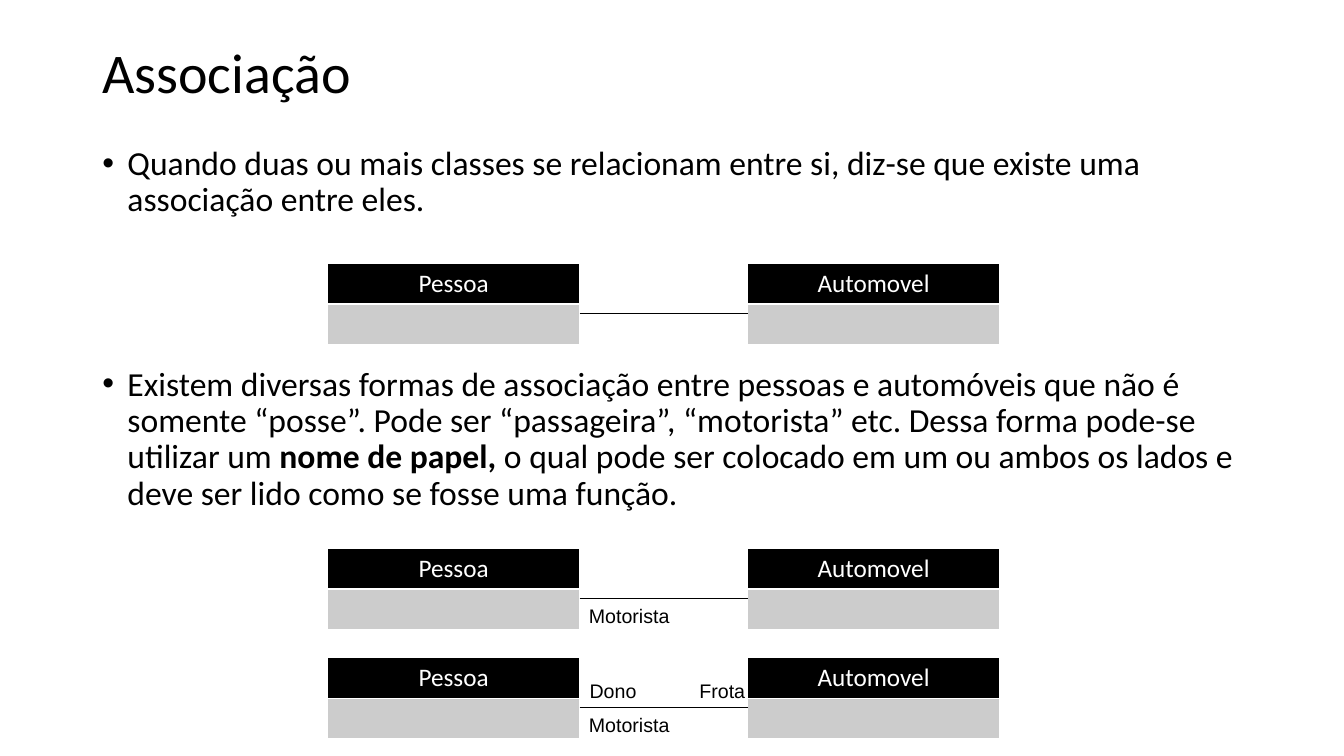
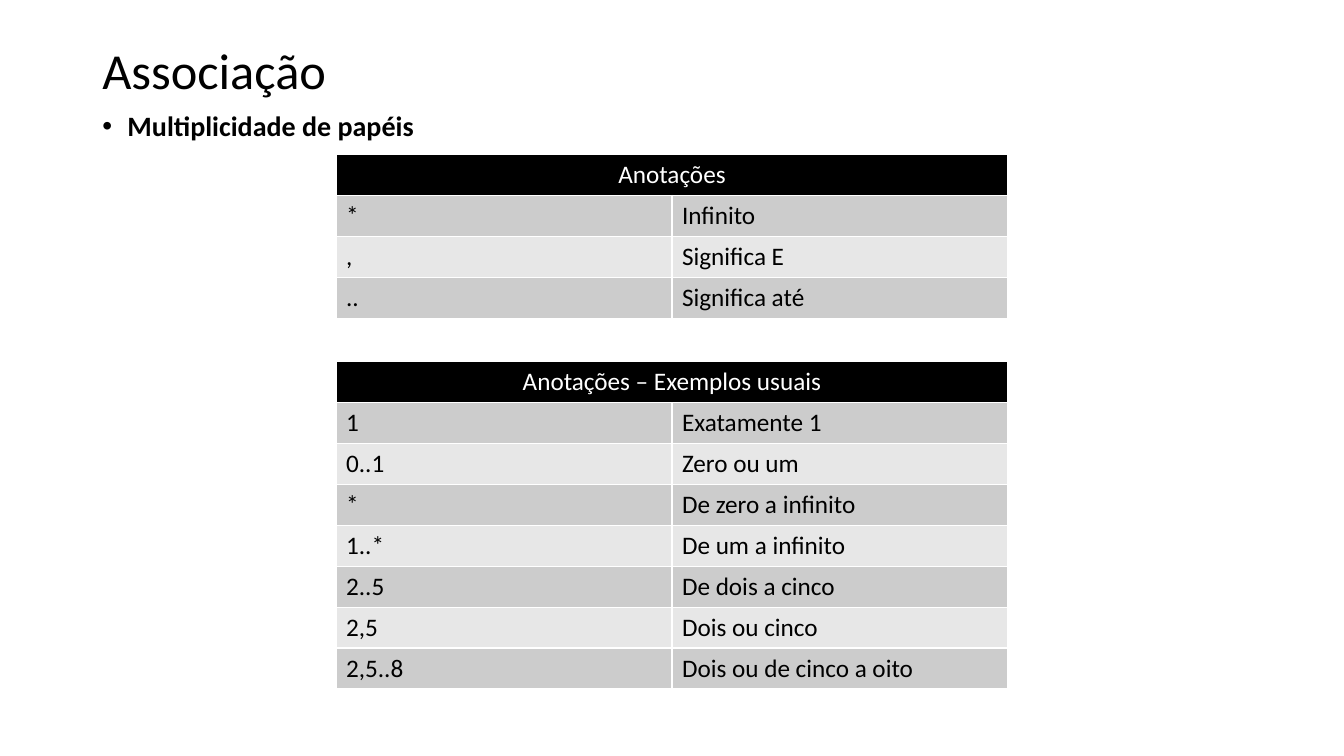
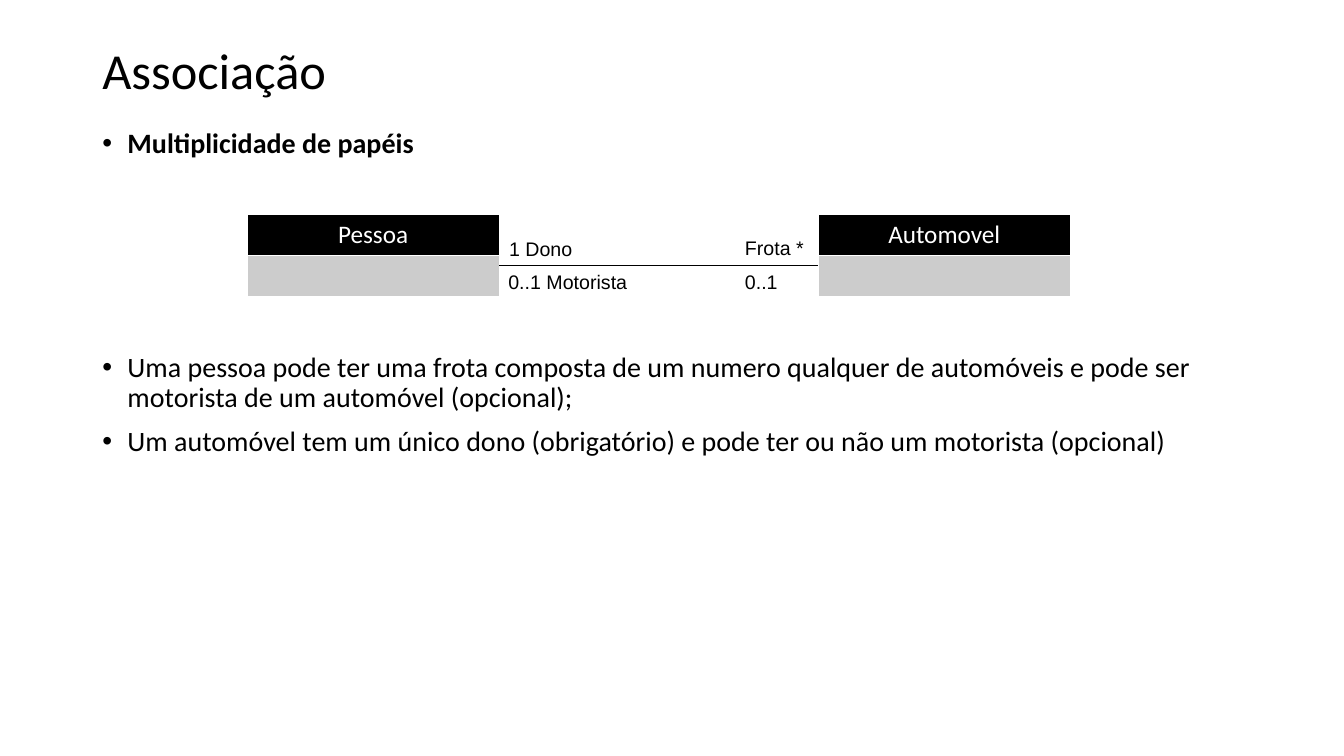
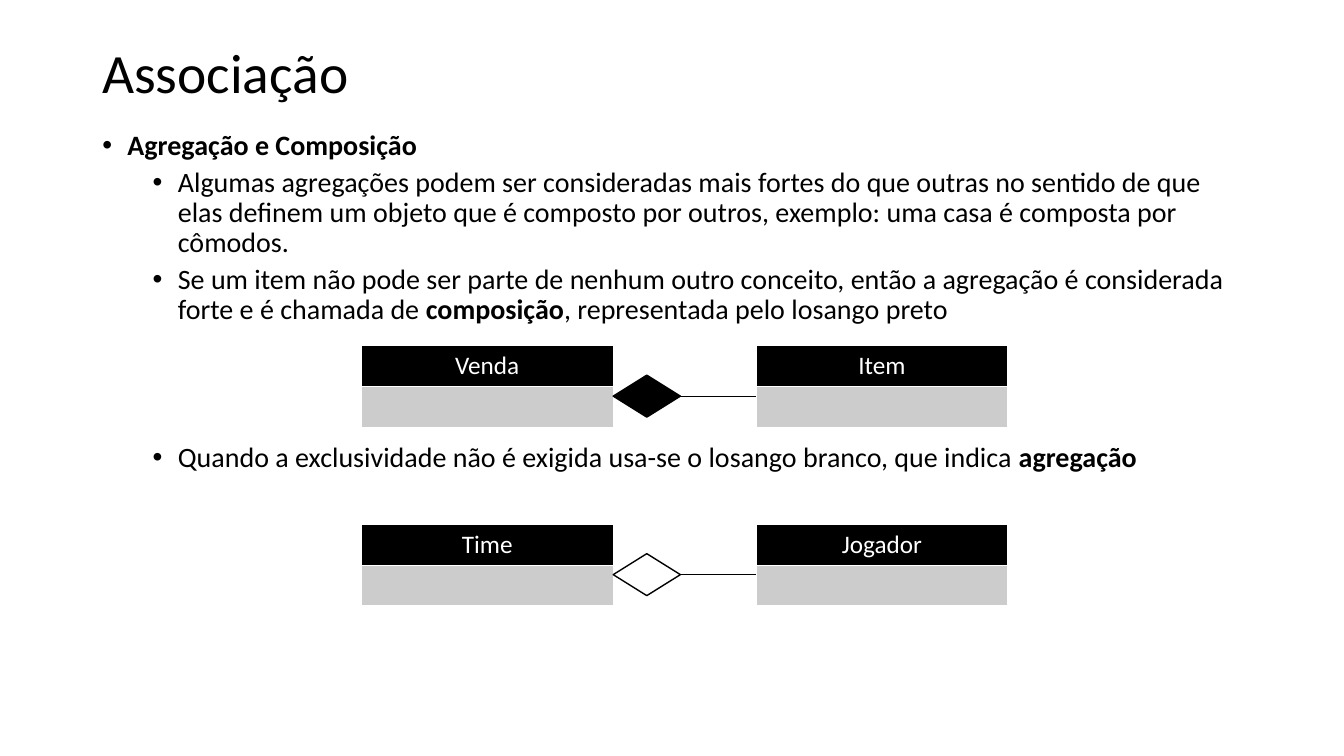
import pptx
import pptx.util
import pptx.dml.color
import pptx.enum.shapes
import pptx.enum.text
import pptx.oxml
import lxml.etree

Pt = pptx.util.Pt
RGB = pptx.dml.color.RGBColor
BLACK = RGB(0, 0, 0)
WHITE = RGB(255, 255, 255)
GREY = RGB(0xCC, 0xCC, 0xCC)
PALE = RGB(0xE7, 0xE7, 0xE7)
NS = "http://schemas.openxmlformats.org/drawingml/2006/main"
ROW = 29.2
WIDE = 180
DROP = 36


def write(slide, x, y, w, h, items, size, face="Calibri", wrap=True):
    frame = slide.shapes.add_textbox(Pt(x), Pt(y), Pt(w), Pt(h)).text_frame
    frame.word_wrap = wrap
    for i, (level, gap, text) in enumerate(items):
        para = frame.paragraphs[0] if i == 0 else frame.add_paragraph()
        para.font.size = Pt(size)
        para.font.name = face
        para.font.color.rgb = BLACK
        if face == "Calibri":
            para.line_spacing = 0.9
        for j, part in enumerate(text.split("|")):
            if part:
                run = para.add_run()
                run.text = part
                if j % 2:
                    run.font.bold = True
        if level is not None:
            para.level = level
            para.space_before = Pt(gap)
            props = para._p.get_or_add_pPr()
            props.set("marL", str(Pt(18 + 36 * level)))
            props.set("indent", str(-Pt(18)))
            last = props.find(f"{{{NS}}}defRPr")
            for tag, key, val in (("buFont", "typeface", "Arial"), ("buChar", "char", "•")):
                mark = lxml.etree.Element(f"{{{NS}}}{tag}")
                mark.set(key, val)
                last.addprevious(mark)


def grid(slide, x, y, width, rows):
    cols = len(rows[-1])
    shape = slide.shapes.add_table(len(rows), cols, Pt(x), Pt(y), Pt(width), Pt(ROW * len(rows)))
    table = shape.table
    for col in table.columns:
        col.width = Pt(width / cols)
    for r, row in enumerate(rows):
        table.rows[r].height = Pt(ROW)
        for c in range(cols):
            cell = table.cell(r, c)
            cell.fill.solid()
            cell.fill.fore_color.rgb = BLACK if r == 0 else GREY if r % 2 else PALE
            para = cell.text_frame.paragraphs[0]
            para.font.size = Pt(18)
            para.font.name = "Calibri"
            para.font.bold = False
            para.font.color.rgb = BLACK if r else WHITE
            if r == 0:
                para.alignment = pptx.enum.text.PP_ALIGN.CENTER
            if c < len(row) and row[c]:
                para.add_run().text = row[c]
            props = cell._tc.get_or_add_tcPr()
            for i, side in enumerate("LRTB"):
                props.insert(i, pptx.oxml.parse_xml(
                    f'<a:ln{side} xmlns:a="{NS}" w="{Pt(1)}"><a:solidFill>'
                    f'<a:srgbClr val="{WHITE}"/></a:solidFill></a:ln{side}>'))
    if cols > 1:
        table.cell(0, 0).merge(table.cell(0, cols - 1))


PAGES = [
    dict(title=40, top=101, size=24, body=[
        (0, 0, "Quando duas ou mais classes se relacionam entre si, diz-se que existe uma associação entre eles."),
        (0, 106, "Existem diversas formas de associação entre pessoas e automóveis que não é somente “posse”. "
         "Pode ser “passageira”, “motorista” etc. Dessa forma pode-se utilizar um |nome de papel, |"
         "o qual pode ser colocado em um ou ambos os lados e deve ser lido como se fosse uma função."),
    ], pairs=[
        (234, 534, 188, "Pessoa", "Automovel", None, []),
        (234, 534, 391.5, "Pessoa", "Automovel", None, [(-0.5, 0, 73, "Motorista")]),
        (234, 534, 469.5, "Pessoa", "Automovel", None,
         [(-0.5, 0, 73, "Motorista"), (0, -24, 48, "Dono"), (78.5, -24, 48, "Frota")]),
    ], lists=[]),
    dict(title=36, top=77, size=20, body=[(0, 0, "|Multiplicidade de papéis|")], pairs=[], lists=[
        (110.5, [["Anotações"], ["*", "Infinito"], [",", "Significa E"], ["..", "Significa até"]]),
        (258.5, [["Anotações – Exemplos usuais"], ["1", "Exatamente 1"], ["0..1", "Zero ou um"],
                 ["*", "De zero a infinito"], ["1..*", "De um a infinito"], ["2..5", "De dois a cinco"],
                 ["2,5", "Dois ou cinco"], ["2,5..8", "Dois ou de cinco a oito"]]),
    ]),
    dict(title=36, top=89, size=20, body=[
        (0, 0, "|Multiplicidade de papéis|"),
        (0, 138, "Uma pessoa pode ter uma frota composta de um numero qualquer de automóveis "
         "e pode ser motorista de um automóvel (opcional);"),
        (0, 10, "Um automóvel tem um único dono (obrigatório) e pode ter ou não um motorista (opcional)"),
    ], pairs=[
        (176.5, 584.5, 153.5, "Pessoa", "Automovel", None,
         [(-0.5, 0, 100, "0..1 Motorista"), (0, -24, 60, "1 Dono"),
          (168.5, -24.5, 57, "Frota *"), (168.5, 0, 38, "0..1")]),
    ], lists=[]),
    dict(title=39.6, top=90.5, size=20, body=[
        (0, 0, "|Agregação e Composição|"),
        (1, 4.5, "Algumas agregações podem ser consideradas mais fortes do que outras no sentido de que "
         "elas definem um objeto que é composto por outros, exemplo: uma casa é composta por cômodos."),
        (1, 4.5, "Se um item não pode ser parte de nenhum outro conceito, então a agregação é considerada "
         "forte e é chamada de |composição|, representada pelo losango preto"),
        (1, 84, "Quando a exclusividade não é exigida usa-se o losango branco, que indica |agregação|"),
    ], pairs=[
        (258, 540, 247, "Venda", "Item", BLACK, []),
        (258, 540, 374.5, "Time", "Jogador", WHITE, []),
    ], lists=[]),
]

deck = pptx.Presentation()
deck.slide_width = Pt(960)
deck.slide_height = Pt(540)

for page in PAGES:
    slide = deck.slides.add_slide(deck.slide_layouts[6])
    write(slide, 66, 29, 828, 50, [(None, 0, "Associação")], page["title"])
    write(slide, 66, page["top"], 828, 486 - page["top"], page["body"], page["size"])
    for top, rows in page["lists"]:
        grid(slide, 240, top, 480, rows)
    for left, right, top, one, two, fill, tags in page["pairs"]:
        grid(slide, left, top, WIDE, [[one], [""]])
        grid(slide, right, top, WIDE, [[two], [""]])
        edge = left + WIDE
        mid = top + DROP
        link = slide.shapes.add_connector(
            pptx.enum.shapes.MSO_CONNECTOR.STRAIGHT, Pt(edge), Pt(mid), Pt(right), Pt(mid))
        link.line.color.rgb = BLACK
        link.line.width = Pt(0.5)
        lxml.etree.SubElement(link._element.spPr, f"{{{NS}}}effectLst")
        if fill is not None:
            gem = slide.shapes.add_shape(
                pptx.enum.shapes.MSO_SHAPE.FLOWCHART_DECISION, Pt(edge), Pt(mid - 15), Pt(48), Pt(30))
            gem.shadow.inherit = False
            gem.fill.solid()
            gem.fill.fore_color.rgb = fill
            gem.line.color.rgb = BLACK
            gem.line.width = Pt(1)
            link.begin_connect(gem, 3)
        for dx, dy, width, text in tags:
            write(slide, edge + dx, mid + dy, width, 24, [(None, 0, text)], 14, "Arial", False)

deck.save("out.pptx")
